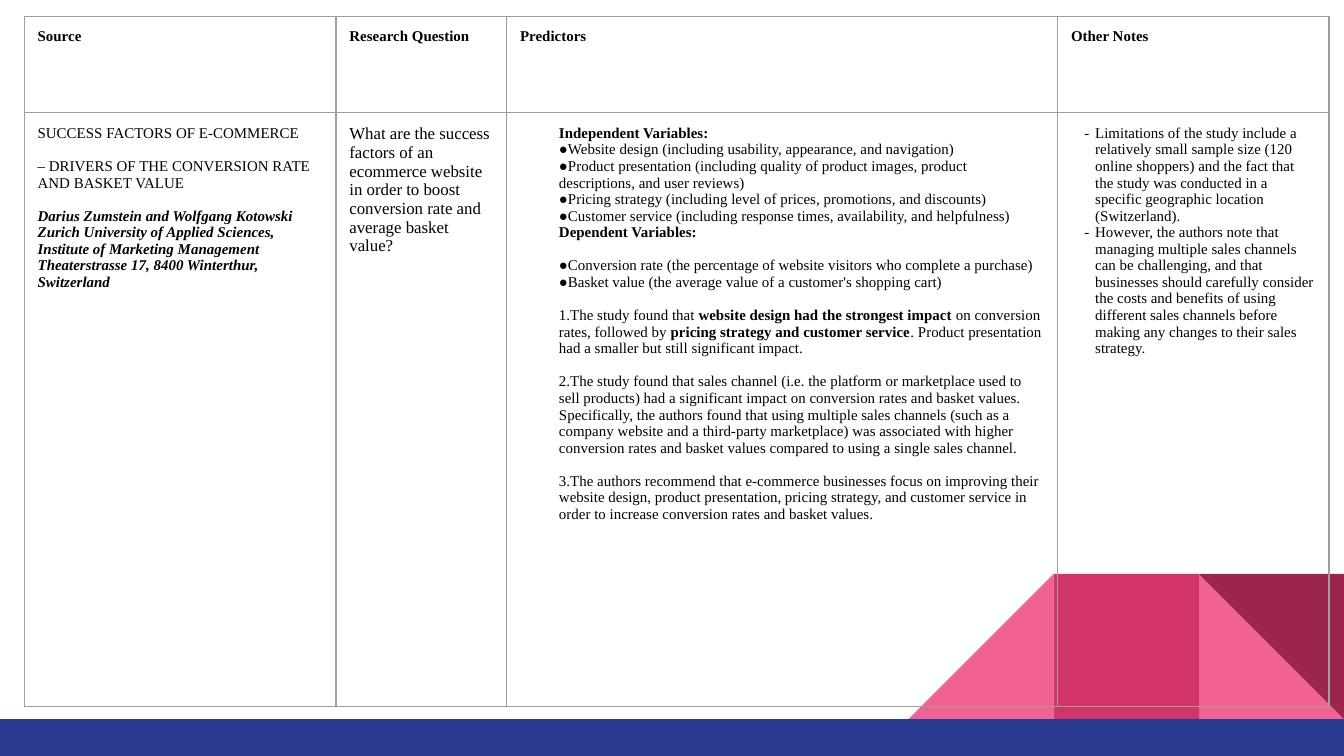
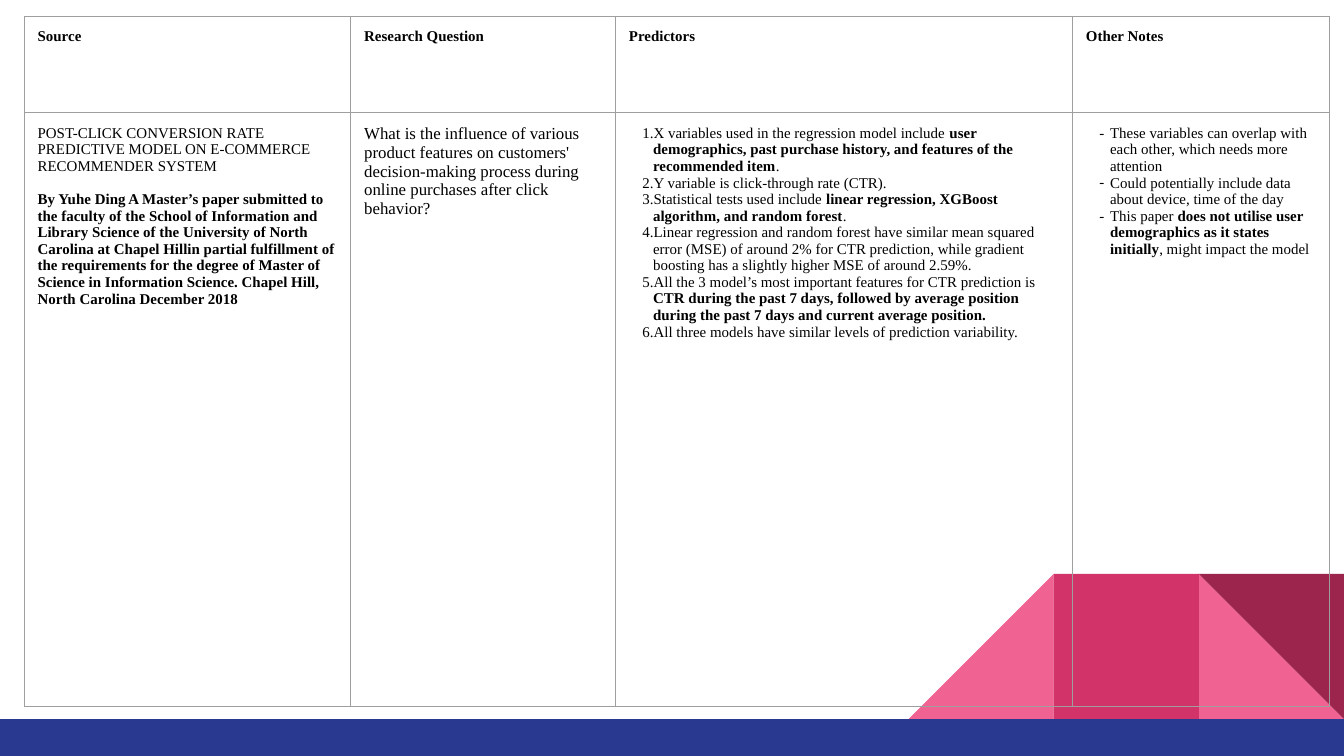
from dataclasses import dataclass

from lxml import etree
from pptx import Presentation
from pptx.dml.color import RGBColor
from pptx.enum import shapes
from pptx.oxml import ns
from pptx.util import Inches, Pt


@dataclass(frozen=True)
class Theme:
    font: str = "Times New Roman"
    text: str = "000000"
    border: str = "9E9E9E"
    pink: str = "F06292"
    rose: str = "D23369"
    wine: str = "9C254D"
    navy: str = "2A3990"
    body: float = 8
    question: float = 9
    blank_line: float = 8.9
    border_width: float = 0.75


@dataclass(frozen=True)
class Para:
    """Text with **bold** parts; bullet is a character, or "1." for numbering."""
    text: str
    bullet: str = ""
    gap: bool = False
    italic: bool = False
    size: float = Theme.body


@dataclass(frozen=True)
class Column:
    width: float
    paras: list
    inset: float = 0.1
    hang: float = 0


THEME = Theme()
SLIDE_W = 10
SLIDE_H = SLIDE_W * 9 / 16
HEADINGS = ["Source", "Research Question", "Predictors", "Other Notes"]
TABLE_LEFT, TABLE_TOP = 0.18, 0.12
ROW_HEIGHTS = [0.72, 4.42]
INSET_X, INSET_Y = 0.1, 0.09
BAND_TOP, TILE = 5.35, 1.08

# Tiles above the footer band: preset, columns from the right edge, rotation, colour
TILES = [
    (shapes.MSO_SHAPE.RIGHT_TRIANGLE, 1, 0, THEME.pink),
    (shapes.MSO_SHAPE.RIGHT_TRIANGLE, 3, 270, THEME.pink),
    (shapes.MSO_SHAPE.RECTANGLE, 2, 0, THEME.rose),
    (shapes.MSO_SHAPE.RIGHT_TRIANGLE, 1, 180, THEME.wine),
]

CONVERSION_DRIVERS = [
    Column(2.32, [
        Para("SUCCESS FACTORS OF E-COMMERCE"),
        Para("– DRIVERS OF THE CONVERSION RATE AND BASKET VALUE", gap=True),
        Para("**Darius Zumstein and Wolfgang Kotowski**", gap=True, italic=True),
        Para("**Zurich University of Applied Sciences, Institute of Marketing "
             "Management**", italic=True),
        Para("**Theaterstrasse 17, 8400 Winterthur, Switzerland**", italic=True),
    ]),
    Column(1.27, [
        Para("What are the success factors of an ecommerce website in order to boost "
             "conversion rate and average basket value?", size=THEME.question),
    ]),
    Column(4.1, [
        Para("**Independent Variables:**"),
        Para("Website design (including usability, appearance, and navigation)", "●"),
        Para("Product presentation (including quality of product images, product "
             "descriptions, and user reviews)", "●"),
        Para("Pricing strategy (including level of prices, promotions, and discounts)", "●"),
        Para("Customer service (including response times, availability, and "
             "helpfulness)", "●"),
        Para("**Dependent Variables:**"),
        Para("Conversion rate (the percentage of website visitors who complete a "
             "purchase)", "●", gap=True),
        Para("Basket value (the average value of a customer's shopping cart)", "●"),
        Para("The study found that **website design had the strongest impact** on "
             "conversion rates, followed by **pricing strategy and customer service**. "
             "Product presentation had a smaller but still significant impact.",
             "1.", gap=True),
        Para("The study found that sales channel (i.e. the platform or marketplace used "
             "to sell products) had a significant impact on conversion rates and basket "
             "values. Specifically, the authors found that using multiple sales channels "
             "(such as a company website and a third-party marketplace) was associated "
             "with higher conversion rates and basket values compared to using a single "
             "sales channel.", "1.", gap=True),
        Para("The authors recommend that e-commerce businesses focus on improving their "
             "website design, product presentation, pricing strategy, and customer "
             "service in order to increase conversion rates and basket values.",
             "1.", gap=True),
    ], inset=0.39),
    Column(2.02, [
        Para("Limitations of the study include a relatively small sample size (120 online "
             "shoppers) and the fact that the study was conducted in a specific "
             "geographic location (Switzerland).", "-"),
        Para("However, the authors note that managing multiple sales channels can be "
             "challenging, and that businesses should carefully consider the costs and "
             "benefits of using different sales channels before making any changes to "
             "their sales strategy.", "-"),
    ], inset=0.2, hang=0.08),
]

POST_CLICK_MODEL = [
    Column(2.43, [
        Para("POST-CLICK CONVERSION RATE PREDICTIVE MODEL ON E-COMMERCE RECOMMENDER "
             "SYSTEM"),
        Para("**By Yuhe Ding A Master’s paper submitted to the faculty of the School of "
             "Information and Library Science of the University of North Carolina at "
             "Chapel Hillin partial fulfillment of the requirements for the degree of "
             "Master of Science in Information Science. Chapel Hill, North Carolina "
             "December 2018**", gap=True),
    ]),
    Column(1.97, [
        Para("What is the influence of various product features on customers' "
             "decision-making process during online purchases after click behavior?",
             size=THEME.question),
    ]),
    Column(3.4, [
        Para("X variables used in the regression model include **user demographics, past "
             "purchase history, and features of the recommended item**.", "1."),
        Para("Y variable is click-through rate (CTR).", "1."),
        Para("Statistical tests used include **linear regression, XGBoost algorithm, and "
             "random forest**.", "1."),
        Para("Linear regression and random forest have similar mean squared error (MSE) "
             "of around 2% for CTR prediction, while gradient boosting has a slightly "
             "higher MSE of around 2.59%.", "1."),
        Para("All the 3 model’s most important features for CTR prediction is **CTR "
             "during the past 7 days, followed by average position during the past 7 "
             "days and current average position.**", "1."),
        Para("All three models have similar levels of prediction variability.", "1."),
    ], inset=0.2, hang=0.08),
    Column(1.91, [
        Para("These variables can overlap with each other, which needs more attention", "-"),
        Para("Could potentially include data about device, time of the day", "-"),
        Para("This paper **does not utilise user demographics as it states initially**, "
             "might impact the model", "-"),
    ], inset=0.2, hang=0.08),
]

STUDIES = [CONVERSION_DRIVERS, POST_CLICK_MODEL]


def add_child(parent, tag, **attributes):
    return etree.SubElement(parent, ns.qn(tag), attributes)


def add_color(parent, color):
    add_child(parent, "a:srgbClr", val=color)


def add_artwork(slide, preset, left, top, width, height, color, rotation=0):
    """Draw a plain shape and move it to the slide's layout, behind the content."""
    art = slide.shapes.add_shape(
        preset, Inches(left), Inches(top), Inches(width), Inches(height))
    art.rotation = rotation
    art.shadow.inherit = False
    art.fill.solid()
    art.fill.fore_color.rgb = RGBColor.from_string(color)
    art.line.fill.background()
    slide.slide_layout.shapes.element.append(art.element)


def decorate_layout(slide):
    for preset, from_right, rotation, color in TILES:
        add_artwork(slide, preset, SLIDE_W - from_right * TILE, BAND_TOP - TILE,
                    TILE, TILE, color, rotation)
    add_artwork(slide, shapes.MSO_SHAPE.RECTANGLE, 0, BAND_TOP,
                SLIDE_W, SLIDE_H - BAND_TOP, THEME.navy)


def set_bullet(paragraph, bullet, hang):
    props = paragraph._p.get_or_add_pPr()
    props.set("marL", str(Inches(hang)))
    props.set("indent", str(-Inches(hang)))
    add_color(add_child(props, "a:buClr"), THEME.text)
    add_child(props, "a:buFont", typeface=THEME.font)
    if bullet == "1.":
        add_child(props, "a:buAutoNum", type="arabicPeriod")
    else:
        add_child(props, "a:buChar", char=bullet)


def write_paragraph(paragraph, para, hang):
    paragraph.space_before = Pt(THEME.blank_line if para.gap else 0)
    if para.bullet:
        set_bullet(paragraph, para.bullet, hang)
    for index, part in enumerate(para.text.split("**")):
        if not part:
            continue
        run = paragraph.add_run()
        run.text = part
        run.font.name = THEME.font
        run.font.size = Pt(para.size)
        run.font.bold = index % 2 == 1
        run.font.italic = para.italic
        run.font.color.rgb = RGBColor.from_string(THEME.text)


def set_borders(cell):
    props = cell._tc.get_or_add_tcPr()
    for position, side in enumerate(["a:lnL", "a:lnR", "a:lnT", "a:lnB"]):
        line = add_child(props, side, w=str(Pt(THEME.border_width)))
        add_color(add_child(line, "a:solidFill"), THEME.border)
        props.insert(position, line)


def fill_cell(cell, paras, inset=INSET_X, hang=0):
    cell.margin_left, cell.margin_right = Inches(inset), Inches(INSET_X)
    cell.margin_top = cell.margin_bottom = Inches(INSET_Y)
    cell.fill.background()
    set_borders(cell)
    frame = cell.text_frame
    for index, para in enumerate(paras):
        paragraph = frame.add_paragraph() if index else frame.paragraphs[0]
        write_paragraph(paragraph, para, hang)


def add_study_table(slide, columns):
    width = sum(column.width for column in columns)
    table = slide.shapes.add_table(
        len(ROW_HEIGHTS), len(columns), Inches(TABLE_LEFT), Inches(TABLE_TOP),
        Inches(width), Inches(sum(ROW_HEIGHTS))).table
    table.first_row = table.horz_banding = False
    for row, height in zip(table.rows, ROW_HEIGHTS):
        row.height = Inches(height)
    for index, (heading, column) in enumerate(zip(HEADINGS, columns)):
        table.columns[index].width = Inches(column.width)
        fill_cell(table.cell(0, index), [Para(f"**{heading}**")])
        fill_cell(table.cell(1, index), column.paras, column.inset, column.hang)


def main():
    deck = Presentation()
    deck.slide_width, deck.slide_height = Inches(SLIDE_W), Inches(SLIDE_H)
    blank = deck.slide_layouts[6]
    slides = [deck.slides.add_slide(blank) for _ in STUDIES]
    decorate_layout(slides[0])
    for slide, columns in zip(slides, STUDIES):
        add_study_table(slide, columns)
    deck.save("out.pptx")


if __name__ == "__main__":
    main()
